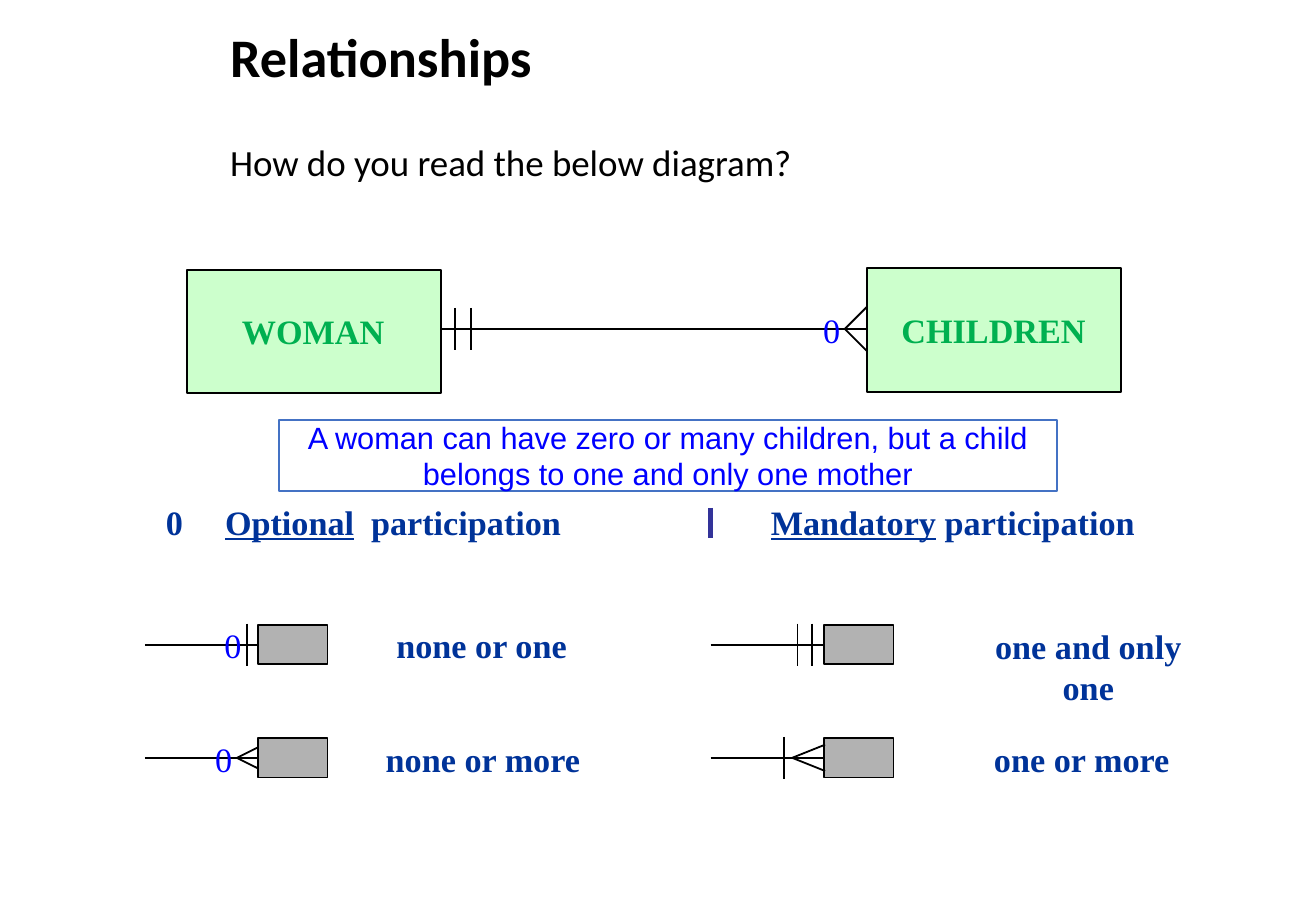
"""Draw the slide that explains relationship notation between entities."""
from dataclasses import dataclass
from typing import Any

from lxml.etree import SubElement
from pptx import Presentation
from pptx.dml.color import RGBColor
from pptx.enum.shapes import MSO_CONNECTOR, MSO_SHAPE
from pptx.enum.text import MSO_ANCHOR, PP_ALIGN
from pptx.oxml.ns import qn
from pptx.util import Emu, Pt

PX = 9144
COLORS = {
    "black": "000000", "white": "FFFFFF", "navy": "003399", "blue": "0000FF",
    "green": "00B050", "mint": "CCFFCC", "gray": "B2B2B2", "indigo": "333399",
    "border": "4472C4",
}
SERIF = {"name": "Times New Roman", "size": Pt(18.7)}
FORMATS: dict[str, dict[str, Any]] = {
    "title": {"name": "Calibri", "size": Pt(29.7), "bold": True},
    "question": {"name": "Calibri", "size": Pt(20.2), "bold": False},
    "answer": {"name": "Arial", "size": Pt(16.8)},
    "zero": SERIF,
    "label": {**SERIF, "bold": True},
}
FRAME = {
    "margin_left": Emu(9 * PX), "margin_right": Emu(9 * PX),
    "margin_top": Emu(5 * PX), "margin_bottom": Emu(5 * PX),
}


@dataclass
class Box:
    left: int
    top: int
    width: int
    height: int
    fill: str
    line: str = "black"


@dataclass
class Line:
    x1: int
    y1: int
    x2: int
    y2: int
    color: str = "black"
    weight: float = 1


@dataclass
class Label:
    center: int
    middle: int
    text: str
    style: str = "label"
    color: str = "navy"
    underlined: str = ""
    width: int = 200
    tabs: tuple[int, ...] = ()


@dataclass
class CrowFoot:
    tip: int
    middle: int
    end: int
    spread: int


@dataclass
class Notation:
    left: int
    middle: int
    caption: Label
    ticks: tuple[int, ...] = ()
    foot: CrowFoot | None = None
    zero: int | None = None


ENTITIES = [
    (Box(142, 205, 193, 94, "mint"), "WOMAN"),
    (Box(659, 204, 193, 94, "mint"), "CHILDREN"),
]
NOTATIONS = [
    Notation(110, 490, Label(366, 490, "none or one"), ticks=(188,), zero=177),
    Notation(110, 576, Label(367, 576, "none or more"),
             foot=CrowFoot(180, 576, 196, 8), zero=170),
    Notation(540, 490, Label(827, 490, "one and only one"), ticks=(606, 617)),
    Notation(540, 576, Label(822, 576, "one or more"), ticks=(596,),
             foot=CrowFoot(602, 576, 627, 10)),
]
HEADINGS = [
    Label(287, 396, "0\tOptional\tparticipation", underlined="Optional",
          width=340, tabs=(45, 156)),
    Label(724, 396, "Mandatory participation", underlined="Mandatory", width=308),
]
ANSWER = Box(212, 319, 591, 54, "white", "border")


def rgb(color: str) -> RGBColor:
    """Return the named colour."""
    return RGBColor.from_string(COLORS[color])


def apply(target: Any, values: dict[str, Any]) -> None:
    """Set every given attribute on the target."""
    for name, value in values.items():
        setattr(target, name, value)


def add_run(paragraph: Any, text: str, style: str, color: str) -> Any:
    """Add a run in one of the named formats."""
    run = paragraph.add_run()
    run.text = text
    apply(run.font, FORMATS[style])
    run.font.color.rgb = rgb(color)
    return run


def draw_box(slide: Any, box: Box) -> Any:
    """Draw a filled rectangle."""
    place = (Emu(value * PX) for value in (box.left, box.top, box.width, box.height))
    shape = slide.shapes.add_shape(MSO_SHAPE.RECTANGLE, *place)
    shape.shadow.inherit = False
    shape.fill.solid()
    shape.fill.fore_color.rgb = rgb(box.fill)
    shape.line.color.rgb = rgb(box.line)
    shape.line.width = Pt(1)
    return shape


def draw_line(slide: Any, line: Line) -> None:
    """Draw a straight line without a shadow."""
    ends = (Emu(value * PX) for value in (line.x1, line.y1, line.x2, line.y2))
    connector = slide.shapes.add_connector(MSO_CONNECTOR.STRAIGHT, *ends)
    connector.line.color.rgb = rgb(line.color)
    connector.line.width = Pt(line.weight)
    SubElement(connector.element.spPr, qn("a:effectLst"))


def draw_tick(slide: Any, x: int, middle: int) -> None:
    """Draw the bar that stands for one."""
    draw_line(slide, Line(x, middle - 16, x, middle + 16))


def draw_foot(slide: Any, foot: CrowFoot) -> None:
    """Draw the two toes that stand for many."""
    for offset in (-foot.spread, foot.spread):
        draw_line(slide, Line(foot.tip, foot.middle, foot.end, foot.middle + offset))


def draw_label(slide: Any, label: Label) -> None:
    """Draw one line of text, centred or set on tab stops."""
    place = (label.center - label.width // 2, label.middle - 20, label.width, 41)
    frame = slide.shapes.add_textbox(*(Emu(value * PX) for value in place)).text_frame
    apply(frame, {**FRAME, "word_wrap": True})
    paragraph = frame.paragraphs[0]
    paragraph.alignment = PP_ALIGN.LEFT if label.tabs else PP_ALIGN.CENTER
    if label.tabs:
        stops = SubElement(paragraph._p.get_or_add_pPr(), qn("a:tabLst"))
        for stop in label.tabs:
            SubElement(stops, qn("a:tab"), pos=str(stop * PX), algn="l")
    before, underlined, after = (
        label.text.partition(label.underlined) if label.underlined else (label.text, "", "")
    )
    for text in filter(None, (before, underlined, after)):
        run = add_run(paragraph, text, label.style, label.color)
        run.font.underline = text == underlined


def draw_zero(slide: Any, center: int, middle: int) -> None:
    """Draw the zero that marks optional participation."""
    draw_label(slide, Label(center, middle, "0", "zero", "blue", width=32))


def draw_notation(slide: Any, notation: Notation) -> None:
    """Draw one legend entry with its caption."""
    edge, middle = notation.left + 86, notation.middle
    draw_line(slide, Line(notation.left, middle, edge, middle))
    draw_box(slide, Box(edge, middle - 15, 53, 30, "gray"))
    for tick in notation.ticks:
        draw_tick(slide, tick, middle)
    if notation.foot:
        draw_foot(slide, notation.foot)
    if notation.zero:
        draw_zero(slide, notation.zero, middle)
    draw_label(slide, notation.caption)


def draw_title(slide: Any) -> None:
    """Draw the title and the question below it."""
    place = (Emu(value * PX) for value in (165, 18, 793, 120))
    frame = slide.shapes.add_textbox(*place).text_frame
    apply(frame, {**FRAME, "margin_left": Emu(10 * PX), "margin_top": 0, "word_wrap": True})
    add_run(frame.paragraphs[0], "Relationships", "title", "black")
    question = frame.add_paragraph()
    question.space_before = Pt(28)
    add_run(question, "How do you read the below diagram?", "question", "black")


def draw_answer(slide: Any) -> None:
    """Draw the framed reading of the diagram."""
    frame = draw_box(slide, ANSWER).text_frame
    apply(frame, {**FRAME, "word_wrap": True, "vertical_anchor": MSO_ANCHOR.MIDDLE})
    paragraph = frame.paragraphs[0]
    paragraph.alignment = PP_ALIGN.CENTER
    text = "A woman can have zero or many children, but a child belongs to one and only one mother"
    add_run(paragraph, text, "answer", "blue")


def main() -> None:
    """Build and save the slide."""
    presentation = Presentation()
    apply(presentation, {"slide_width": Emu(1000 * PX), "slide_height": Emu(700 * PX)})
    slide = presentation.slides.add_slide(presentation.slide_layouts[6])
    draw_title(slide)
    for box, name in ENTITIES:
        draw_box(slide, box)
        center, middle = box.left + box.width // 2, box.top + box.height // 2 - 1
        draw_label(slide, Label(center, middle, name, color="green", width=180))
    draw_line(slide, Line(335, 250, 659, 250))
    for tick in (346, 358):
        draw_tick(slide, tick, 250)
    draw_foot(slide, CrowFoot(642, 250, 659, 17))
    draw_zero(slide, 632, 250)
    draw_answer(slide)
    for heading in HEADINGS:
        draw_label(slide, heading)
    draw_line(slide, Line(540, 386, 540, 409, "indigo", 3))
    for notation in NOTATIONS:
        draw_notation(slide, notation)
    presentation.save("out.pptx")


if __name__ == "__main__":
    main()
